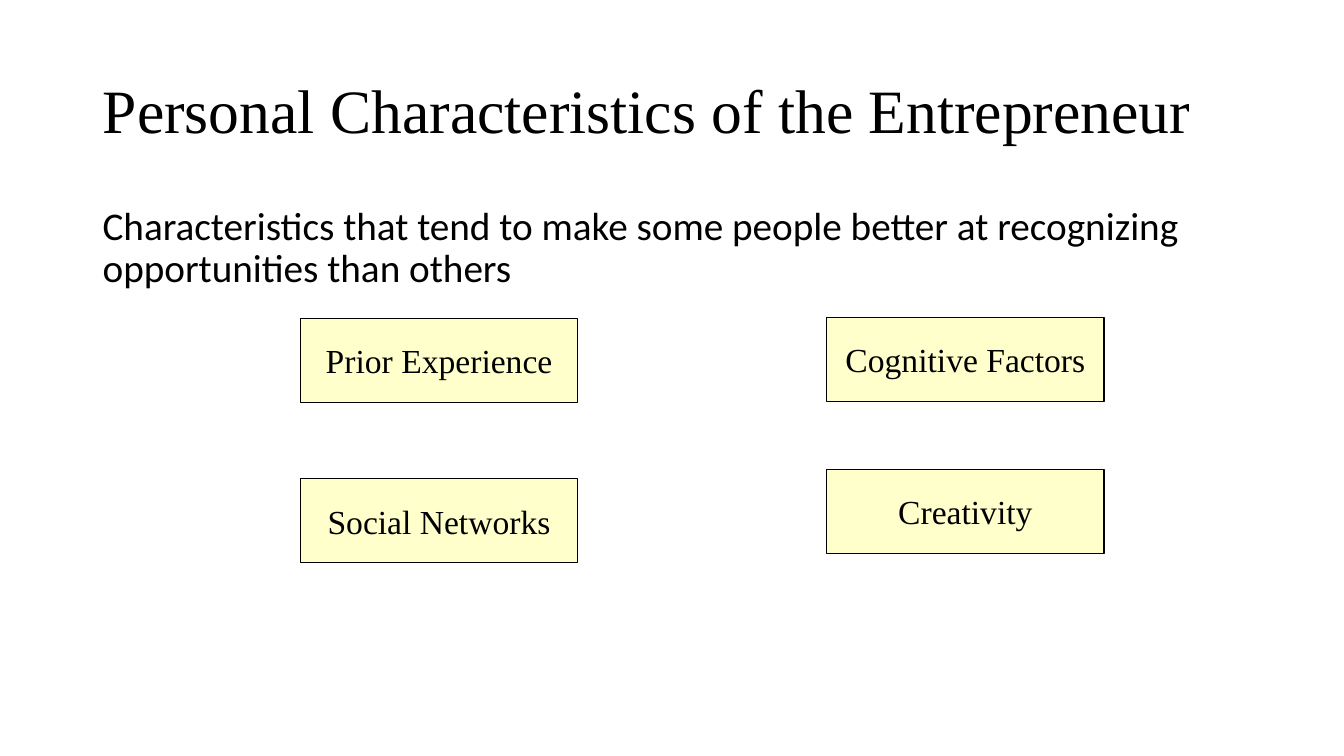
from pptx import Presentation
from pptx.dml.color import RGBColor
from pptx.enum.shapes import MSO_SHAPE
from pptx.enum.text import MSO_ANCHOR, MSO_AUTO_SIZE, PP_ALIGN
from pptx.util import Inches, Pt

RECTANGLE = MSO_SHAPE.RECTANGLE
TOP, MIDDLE = MSO_ANCHOR.TOP, MSO_ANCHOR.MIDDLE
LEFT, CENTER = PP_ALIGN.LEFT, PP_ALIGN.CENTER
NO_AUTOFIT = MSO_AUTO_SIZE.NONE

COLORS = {"text": "000000", "line": "000000", "factor": "FFFFCC"}
SERIF, SANS = "Times New Roman", "Calibri"
TITLE_ONLY = 5
FACTOR_SIZE = (2.75, 0.83)
# Each column: left edge, then the label and top edge of its boxes
FACTOR_COLUMNS = [
    (2.98, [("Prior Experience", 3.16), ("Social Networks", 4.75)]),
    (8.2, [("Cognitive Factors", 3.15), ("Creativity", 4.66)]),
]


def color(name):
    return RGBColor.from_string(COLORS[name])


def place(shape, box):
    shape.left, shape.top, shape.width, shape.height = map(Inches, box)


def write(shape, text, font, size, align=LEFT, anchor=TOP, wrap=True, spacing=1.0):
    frame = shape.text_frame
    frame.auto_size = NO_AUTOFIT
    frame.word_wrap = wrap
    frame.vertical_anchor = anchor
    para = frame.paragraphs[0]
    para.alignment = align
    para.line_spacing = spacing
    span = para.add_run()
    span.text = text
    span.font.name = font
    span.font.size = Pt(size)
    span.font.color.rgb = color("text")


def add_title(page, box):
    title = page.shapes.title
    place(title, box)
    write(title, "Personal Characteristics of the Entrepreneur", SERIF, 44,
          anchor=MIDDLE, spacing=0.9)


def add_introduction(page, box):
    introduction = page.shapes.add_textbox(*map(Inches, box))
    write(introduction,
          "Characteristics that tend to make some people better at "
          "recognizing opportunities than others",
          SANS, 28, spacing=0.9)


def add_factor(page, box, label):
    factor = page.shapes.add_shape(RECTANGLE, *map(Inches, box))
    factor.shadow.inherit = False
    factor.fill.solid()
    factor.fill.fore_color.rgb = color("factor")
    factor.line.color.rgb = color("line")
    factor.line.width = Pt(0.75)
    write(factor, label, SERIF, 24, align=CENTER, anchor=MIDDLE, wrap=False)


def main():
    deck = Presentation()
    deck.slide_width, deck.slide_height = Inches(13.33), Inches(7.5)
    page = deck.slides.add_slide(deck.slide_layouts[TITLE_ONLY])

    # Heading and introduction
    add_title(page, (0.92, 0.4, 11.5, 1.45))
    add_introduction(page, (0.92, 2, 11.5, 4.76))

    # Four personal characteristics in two columns
    for left, factors in FACTOR_COLUMNS:
        for label, top in factors:
            add_factor(page, (left, top, *FACTOR_SIZE), label)

    deck.save("out.pptx")


if __name__ == "__main__":
    main()
